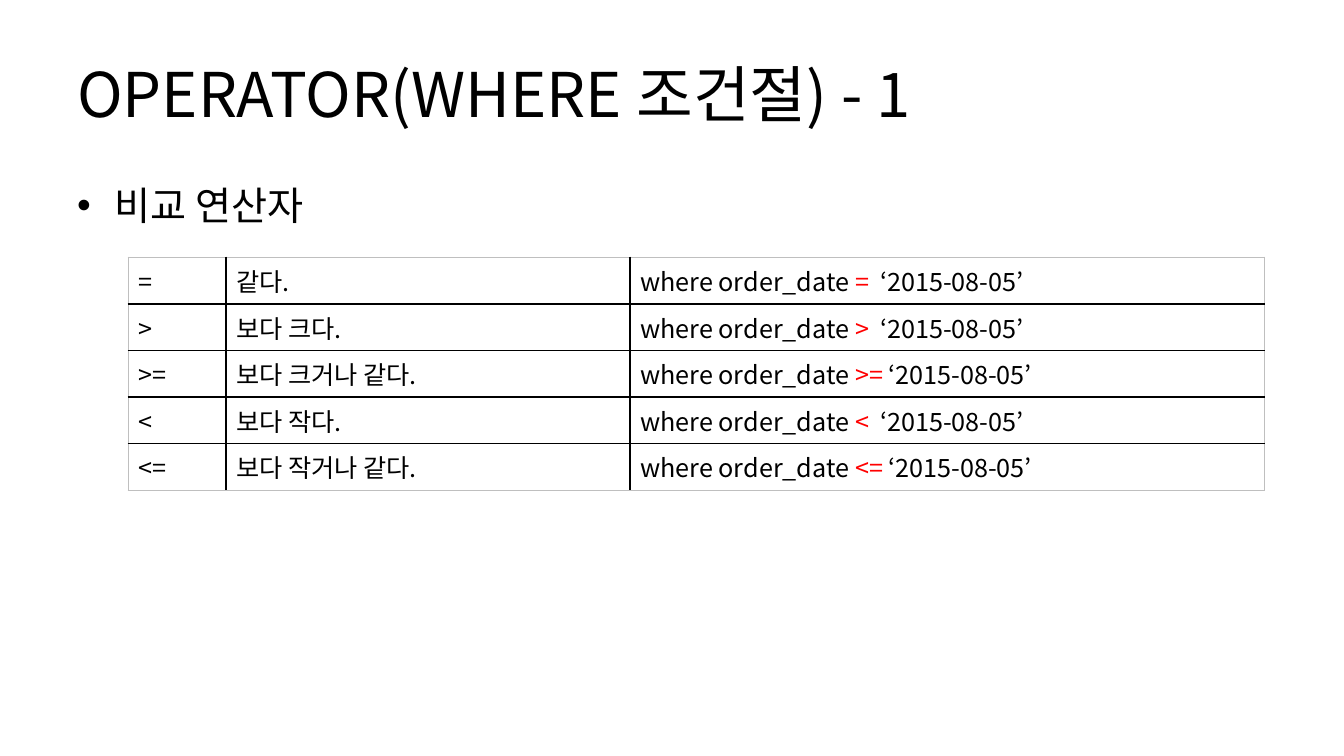
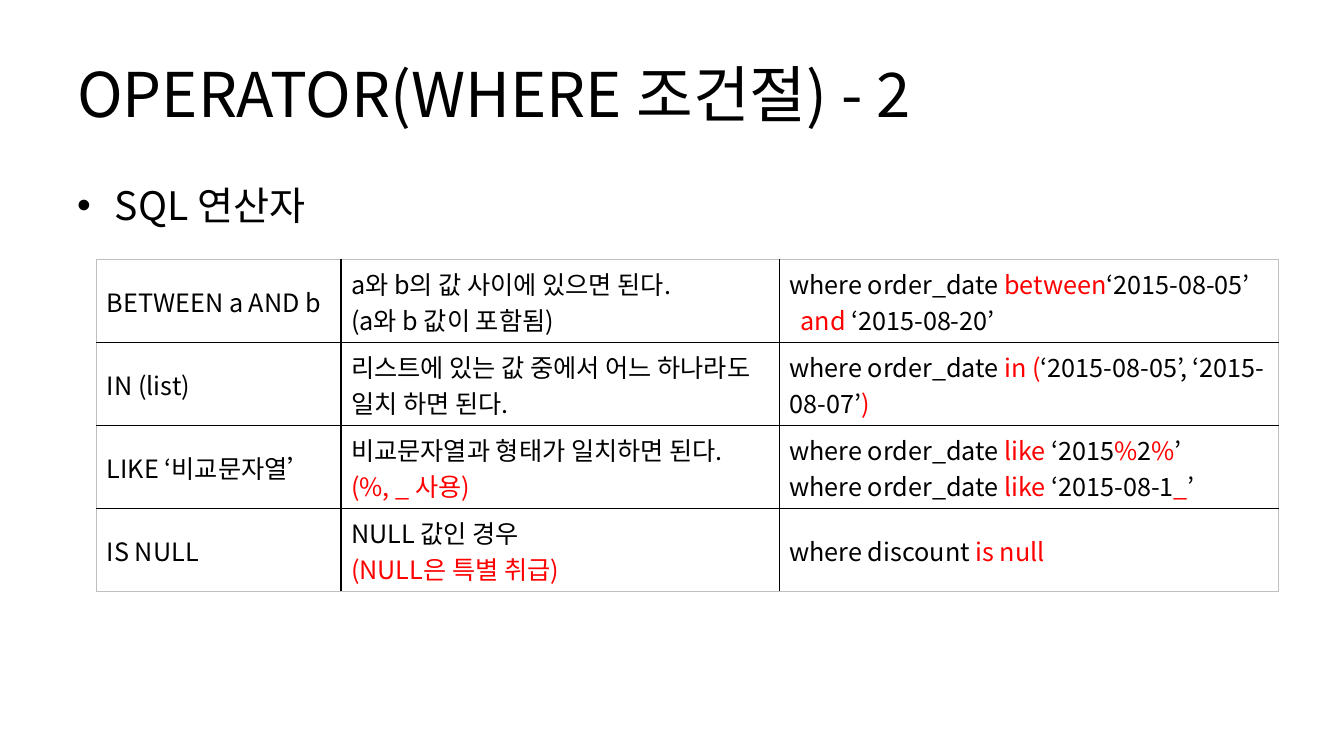
from dataclasses import dataclass

from lxml.etree import SubElement
from pptx import Presentation
from pptx.dml.color import RGBColor as Color
from pptx.enum.text import MSO_ANCHOR as Anchor
from pptx.oxml import parse_xml
from pptx.oxml.ns import nsdecls, qn
from pptx.util import Pt


# Colours, type sizes and common lengths (points)
@dataclass(frozen=True)
class Theme:
    font: str = "Noto Sans CJK KR"
    text: str = "000000"
    accent: str = "FF0000"
    inner_line: str = "000000"
    outer_line: str = "BFBFBF"
    title_size: float = 44
    body_size: float = 28
    table_size: float = 18
    left: float = 48
    width: float = 864
    bullet_indent: float = 27
    line_indent: float = 8


THEME = Theme()


def write_text(frame, text, *, size, anchor=Anchor.TOP, theme=THEME):
    """Write one paragraph per line; ~marks~ accent words, a tab indents."""
    frame.word_wrap = True
    frame.vertical_anchor = anchor
    for index, line in enumerate(text.split("\n")):
        paragraph = frame.paragraphs[0] if index == 0 else frame.add_paragraph()
        if line.startswith("\t"):
            paragraph._p.get_or_add_pPr().set("marL", str(Pt(theme.line_indent)))
        for position, piece in enumerate(line.lstrip("\t").split("~")):
            if not piece:
                continue
            run = paragraph.add_run()
            run.text = piece
            run.font.size = Pt(size)
            run.font.color.rgb = Color.from_string(
                theme.accent if position % 2 else theme.text)
            run.font.name = theme.font
            SubElement(run.font._element, qn("a:ea"), typeface=theme.font)


class Deck:
    def __init__(self, theme):
        self.theme = theme
        self.presentation = Presentation()
        self.presentation.slide_width = Pt(960)
        self.presentation.slide_height = Pt(540)
        self.slide = None

    def add_slide(self, title, topic):
        layout = self.presentation.slide_layouts[6]
        self.slide = self.presentation.slides.add_slide(layout)
        self.text_box(title, 21.6, 90, size=self.theme.title_size,
                      anchor=Anchor.MIDDLE)
        self.bullet(topic)

    def text_box(self, text, top, height, **text_format):
        shape = self.slide.shapes.add_textbox(
            Pt(self.theme.left), Pt(top), Pt(self.theme.width), Pt(height))
        write_text(shape.text_frame, text, **text_format)
        return shape

    def bullet(self, text):
        size = self.theme.body_size
        shape = self.text_box(text, 126, 356.4, size=size)
        paragraph = shape.text_frame.paragraphs[0]
        paragraph.space_before = Pt(size * 0.2)
        properties = paragraph._p.get_or_add_pPr()
        indent = Pt(self.theme.bullet_indent)
        properties.set("marL", str(indent))
        properties.set("indent", str(-indent))
        SubElement(properties, qn("a:buFont"), typeface="Arial")
        SubElement(properties, qn("a:buChar"), char="•")

    def table(self, rows, left, top, column_widths, row_height,
              anchor=Anchor.TOP):
        row_count, column_count = len(rows), len(column_widths)
        table = self.slide.shapes.add_table(
            row_count, column_count, Pt(left), Pt(top),
            Pt(sum(column_widths)), Pt(row_height * row_count)).table
        table.first_row = table.horz_banding = False
        for column, width in zip(table.columns, column_widths):
            column.width = Pt(width)
        for row_index, texts in enumerate(rows):
            table.rows[row_index].height = Pt(row_height)
            for column_index, text in enumerate(texts):
                cell = table.cell(row_index, column_index)
                write_text(cell.text_frame, text, size=self.theme.table_size)
                cell.vertical_anchor = anchor
                cell.fill.background()
                self.cell_borders(cell, {
                    "lnL": column_index == 0,
                    "lnR": column_index == column_count - 1,
                    "lnT": row_index == 0,
                    "lnB": row_index == row_count - 1})

    def cell_borders(self, cell, outer_sides):
        properties = cell._tc.get_or_add_tcPr()
        for index, (side, is_outer) in enumerate(outer_sides.items()):
            color = self.theme.outer_line if is_outer else self.theme.inner_line
            properties.insert(index, parse_xml(
                f'<a:{side} {nsdecls("a")} w="{Pt(1)}"><a:solidFill>'
                f'<a:srgbClr val="{color}"/></a:solidFill></a:{side}>'))


deck = Deck(THEME)

# Comparison operators; padding lines up the dates after each operator
COMPARISONS = {
    "=": "같다.",
    ">": "보다 크다.",
    ">=": "보다 크거나 같다.",
    "<": "보다 작다.",
    "<=": "보다 작거나 같다.",
}
deck.add_slide("OPERATOR(WHERE 조건절) - 1", "비교 연산자")
deck.table(
    [(operator, meaning,
      f"where order_date ~{operator:<2} ~‘2015-08-05’")
     for operator, meaning in COMPARISONS.items()],
    left=91.6, top=183.8, column_widths=(69.8, 288.7, 452.9), row_height=33.3)

# SQL operators
SQL_OPERATORS = [
    ("BETWEEN a AND b",
     "a와 b의 값 사이에 있으면 된다.\n(a와 b 값이 포함됨)",
     "where order_date ~between~‘2015-08-05’\n\t~and~ ‘2015-08-20’"),
    ("IN (list)",
     "리스트에 있는 값 중에서 어느 하나라도 일치 하면 된다.",
     "where order_date ~in (~‘2015-08-05’, ‘2015-08-07’~)~"),
    ("LIKE ‘비교문자열’",
     "비교문자열과 형태가 일치하면 된다.\n~(%, _ 사용)~",
     "where order_date ~like~ ‘2015~%~2~%~’\n"
     "where order_date ~like~ ‘2015-08-1~_~’"),
    ("IS NULL",
     "NULL 값인 경우\n~(NULL은 특별 취급)~",
     "where discount ~is null~"),
]
deck.add_slide("OPERATOR(WHERE 조건절) - 2", "SQL 연산자")
deck.table(SQL_OPERATORS, left=69.2, top=185.6,
           column_widths=(174.4, 313.1, 356.4), row_height=59.3,
           anchor=Anchor.MIDDLE)

deck.presentation.save("out.pptx")
